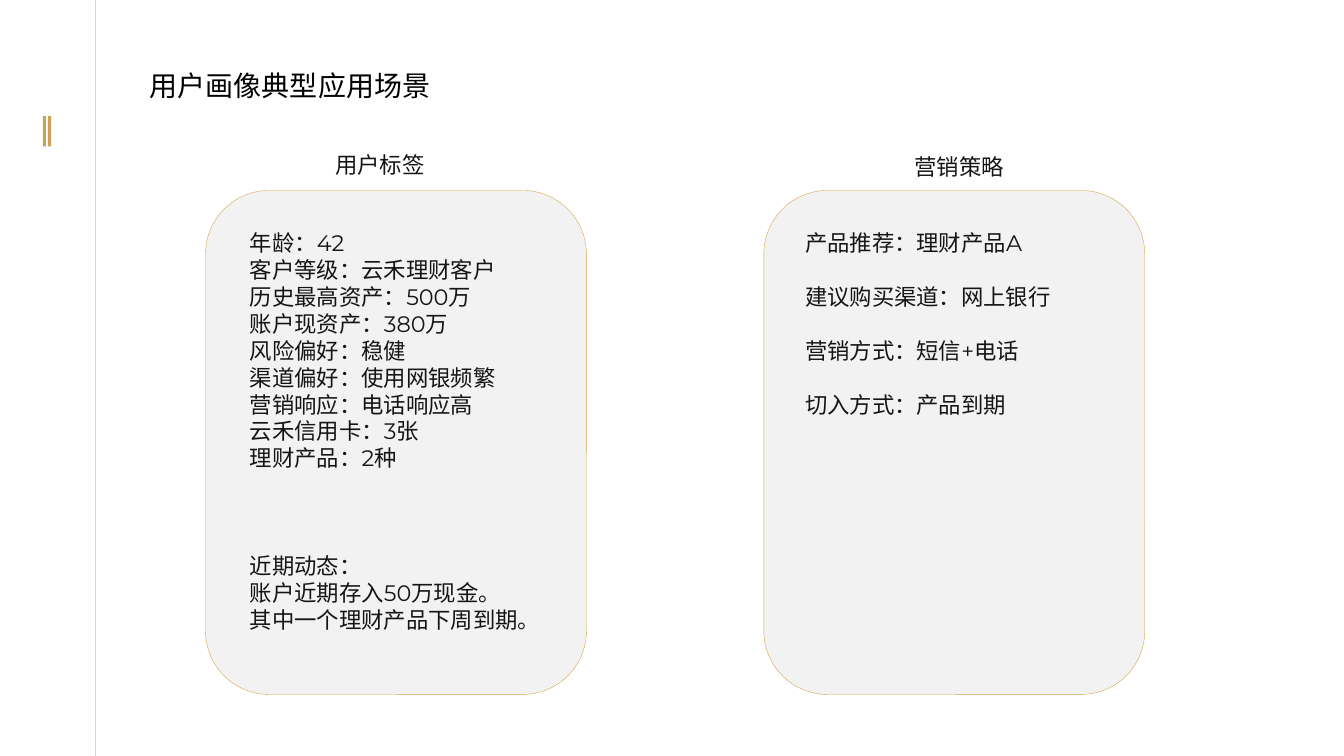
from dataclasses import dataclass

from lxml import etree
from pptx import Presentation
from pptx.dml.color import RGBColor
from pptx.enum import shapes, text
from pptx.oxml import ns
from pptx.util import Cm, Pt


@dataclass(frozen=True)
class Theme:
    gold: RGBColor = RGBColor(0xCA, 0xA3, 0x54)
    outline: RGBColor = RGBColor(0xD4, 0xA3, 0x44)
    panel: RGBColor = RGBColor(0xF2, 0xF2, 0xF2)
    rule: RGBColor = RGBColor(0xD6, 0xD5, 0xD5)
    title: RGBColor = RGBColor(0, 0, 0)
    body: RGBColor = RGBColor(0x16, 0x15, 0x15)
    title_font: str = "Noto Sans CJK SC"
    body_font: str = "Montserrat"
    title_size: Pt = Pt(20)
    body_size: Pt = Pt(16)
    blank_line: float = 19.2


theme = Theme()


def format_runs(paragraph, font_name, size, color):
    """Style every run, using the same typeface for Latin and Chinese."""
    for run in paragraph.runs:
        run.font.name = font_name
        run.font.size = size
        run.font.color.rgb = color
        east_asian = etree.SubElement(run.font._element, ns.qn("a:ea"))
        east_asian.set("typeface", font_name)


def add_lines(left, top, width, height, lines, align, wrap):
    """Add body text; each line is (wording, blank lines before it)."""
    frame = slide.shapes.add_textbox(left, top, width, height).text_frame
    frame.word_wrap = wrap
    frame.text = "\n".join(wording for wording, _ in lines)
    for paragraph, (_, gap) in zip(frame.paragraphs, lines):
        paragraph.alignment = align
        if gap:
            paragraph.space_before = Pt(gap * theme.blank_line)
        format_runs(paragraph, theme.body_font, theme.body_size, theme.body)


prs = Presentation()
prs.slide_width, prs.slide_height = Cm(33.87), Cm(19.05)
slide = prs.slides.add_slide(prs.slide_layouts[5])

# Left margin: hairline and double gold bar
margin = slide.shapes.add_connector(
    shapes.MSO_CONNECTOR.STRAIGHT, Cm(2.41), prs.slide_height, Cm(2.41), 0)
margin.line.color.rgb = theme.rule
margin.line.width = Pt(0.75)
etree.SubElement(margin._element.spPr, ns.qn("a:effectLst"))

for bar_left in (1.08, 1.21):
    bar = slide.shapes.add_shape(
        shapes.MSO_SHAPE.RECTANGLE, Cm(bar_left), Cm(2.93), Cm(0.08), Cm(0.76))
    bar.shadow.inherit = False
    bar.fill.solid()
    bar.fill.fore_color.rgb = theme.gold
    bar.line.fill.background()

# Title
title = slide.shapes.title
title.left, title.top, title.width, title.height = Cm(3.68), Cm(1.65), Cm(7.26), Cm(1.02)
heading = title.text_frame
heading.text = "用户画像典型应用场景"
heading.word_wrap = False
heading.auto_size = text.MSO_AUTO_SIZE.NONE
heading.vertical_anchor = text.MSO_ANCHOR.MIDDLE
heading.margin_left = heading.margin_right = Cm(0.08)
heading.margin_top = heading.margin_bottom = Cm(0.08)
heading.paragraphs[0].alignment = text.PP_ALIGN.CENTER
format_runs(heading.paragraphs[0], theme.title_font, theme.title_size, theme.title)

# Panels: left edge, label, label position, text left, text height, lines
user_tags = [
    ("年龄：42", 0),
    ("客户等级：云禾理财客户", 0),
    ("历史最高资产：500万", 0),
    ("账户现资产：380万", 0),
    ("风险偏好：稳健", 0),
    ("渠道偏好：使用网银频繁", 0),
    ("营销响应：电话响应高", 0),
    ("云禾信用卡：3张", 0),
    ("理财产品：2种", 0),
    ("近期动态：", 3),
    ("账户近期存入50万现金。", 0),
    ("其中一个理财产品下周到期。", 0),
]
strategy = [
    ("产品推荐：理财产品A", 0),
    ("建议购买渠道：网上银行", 1),
    ("营销方式：短信+电话", 1),
    ("切入方式：产品到期", 1),
]
panels = [
    (5.18, "用户标签", (8.18, 3.68), 6.05, 11.13, user_tags),
    (19.25, "营销策略", (22.78, 3.73), 20.04, 5.74, strategy),
]
for panel_left, label, (label_left, label_top), text_left, text_height, lines in panels:
    panel = slide.shapes.add_shape(
        shapes.MSO_SHAPE.ROUNDED_RECTANGLE, Cm(panel_left), Cm(4.8), Cm(9.6), Cm(12.7))
    panel.shadow.inherit = False
    panel.fill.solid()
    panel.fill.fore_color.rgb = theme.panel
    panel.line.color.rgb = theme.outline
    panel.line.width = Pt(0.25)
    add_lines(Cm(label_left), Cm(label_top), Cm(2.79), Cm(0.94),
              [(label, 0)], text.PP_ALIGN.CENTER, False)
    add_lines(Cm(text_left), Cm(5.66), Cm(7.95), Cm(text_height),
              lines, text.PP_ALIGN.LEFT, True)

prs.save("out.pptx")
